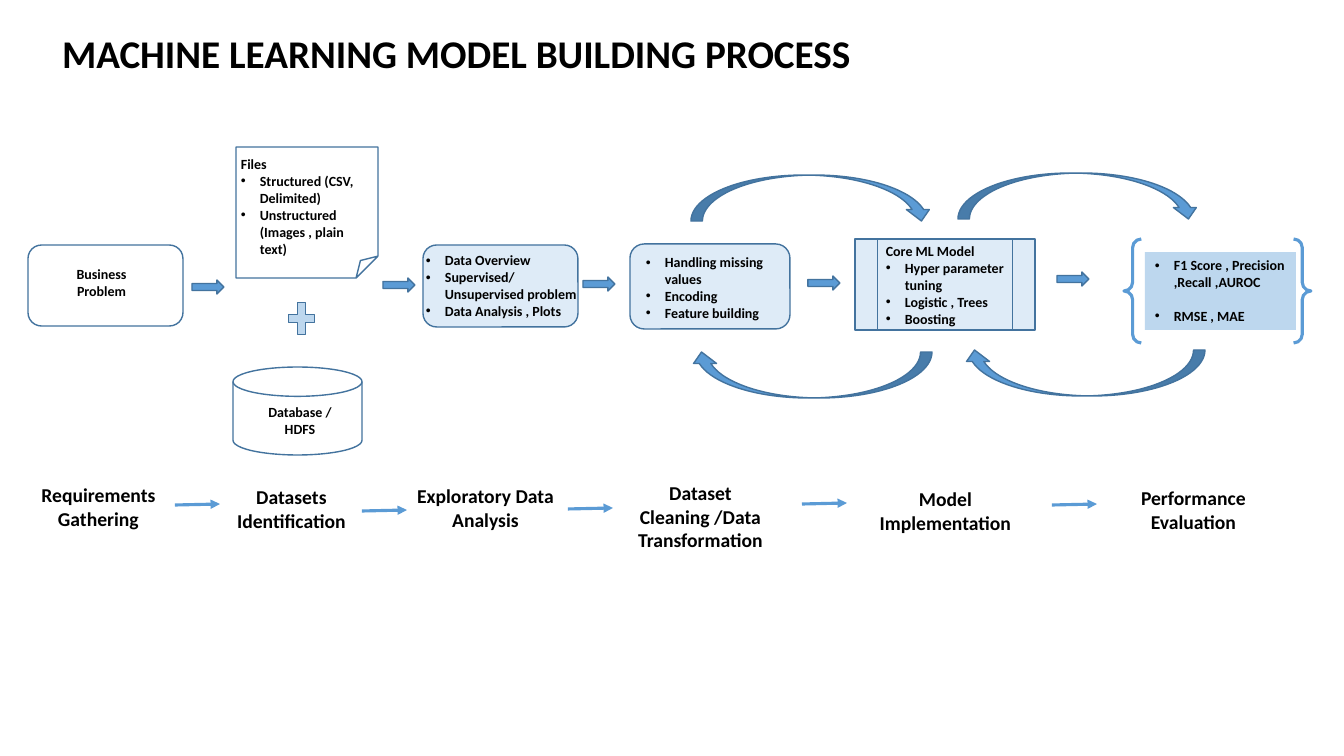
"""Builds a one-slide overview of the machine learning model building process."""
from dataclasses import dataclass

from lxml import etree
from pptx import Presentation
from pptx.dml.color import RGBColor
from pptx.enum.shapes import MSO_CONNECTOR, MSO_SHAPE
from pptx.enum.text import MSO_ANCHOR, PP_ALIGN
from pptx.oxml.ns import qn
from pptx.util import Emu, Pt

ROUNDED = MSO_SHAPE.ROUNDED_RECTANGLE
RECT = MSO_SHAPE.RECTANGLE
BLOCK_ARROW = MSO_SHAPE.RIGHT_ARROW
LOOP_ARROW = MSO_SHAPE.CURVED_LEFT_ARROW
CENTER, LEFT = PP_ALIGN.CENTER, PP_ALIGN.LEFT


@dataclass(frozen=True)
class Theme:
    font: str = "Calibri"
    background: str = "FFFFFF"
    text: str = "000000"
    accent: str = "5B9BD5"
    outline: str = "43739E"
    pale: str = "DEEBF7"
    soft: str = "BDD7EE"
    title: int = 28
    stage: int = 14
    detail: int = 10
    thin: float = 1
    thick: float = 2.25


THEME = Theme()
SLIDE_SIZE = (1344, 756)
TITLE = "MACHINE LEARNING MODEL BUILDING PROCESS"
TITLE_BOX = (52, 25, 1140, 62)

PANELS = [
    (MSO_SHAPE.FOLDED_CORNER, (236, 147, 142, 131), None),
    (MSO_SHAPE.FLOWCHART_MAGNETIC_DISK, (233, 367, 129, 88), None),
    (ROUNDED, (423, 245, 155, 82), THEME.pale),
    (ROUNDED, (630, 244, 160, 85), THEME.pale),
    (MSO_SHAPE.FLOWCHART_PREDEFINED_PROCESS, (855, 239, 180, 91), THEME.pale),
    (MSO_SHAPE.MATH_PLUS, (284, 297, 35, 43), THEME.soft),
    (ROUNDED, (28, 245, 155, 81), None),
]
BRACES = (1124, 239, 187, 104)
METRICS_PANEL = (1145, 252, 151, 78)

STAGE_WIDTH, STAGE_HEIGHT = 165, 57
STAGES = [
    (16, 478, ["Requirements", "Gathering"]),
    (209, 480, ["Datasets Identification"]),
    (403, 479, ["Exploratory Data Analysis"]),
    (618, 476, ["Dataset Cleaning /Data Transformation"]),
    (863, 482, ["Model Implementation"]),
    (1111, 481, ["Performance Evaluation"]),
]

LABELS = [
    ((50, 261, 103, 44), "Business Problem"),
    ((244, 399, 112, 44), "Database / HDFS"),
]
DETAILS = [
    ((231, 151, 142, 132), "Files",
     ["Structured (CSV, Delimited)", "Unstructured (Images , plain text)"]),
    ((416, 247, 175, 129), None,
     ["Data Overview", "Supervised/ Unsupervised problem",
      "Data Analysis , Plots"]),
    ((876, 238, 170, 129), "Core ML Model",
     ["Hyper parameter tuning", "Logistic , Trees", "Boosting"]),
    ((636, 249, 153, 78), None,
     ["Handling missing values", "Encoding", "Feature building"]),
]
METRICS = ["F1 Score , Precision ,Recall ,AUROC", "RMSE , MAE"]
METRICS_GAP = 12

BLOCK_ARROW_SIZE = (32, 14)
BLOCK_ARROWS = [(192, 280), (383, 278), (583, 277), (808, 276), (1057, 272)]
STAGE_ARROW_RUN, STAGE_ARROW_RISE = 45, 1
STAGE_ARROWS = [(175, 505), (362, 511), (568, 509), (802, 504), (1052, 505)]
LOOP_SIZE = (46, 242)
LOOPS = [(1061, 252, 90), (788, 254, 90), (789, 77, 270), (1056, 75, 270)]
BULLET_INDENT = 19


def px(n):
    return Emu(round(n * 914400 / 100.8))


def rgb(value):
    return RGBColor.from_string(value)


def add_shape(s, kind, box, fill=None, line=THEME.outline, width=THEME.thin):
    sp = s.shapes.add_shape(kind, *map(px, box))
    sp.shadow.inherit = False
    if fill:
        sp.fill.solid()
        sp.fill.fore_color.rgb = rgb(fill)
    else:
        sp.fill.background()
    if line:
        sp.line.color.rgb = rgb(line)
        sp.line.width = Pt(width)
    else:
        sp.line.fill.background()
    return sp


def style(p, size, align):
    p.alignment = align
    p.font.name = THEME.font
    p.font.size = Pt(size)
    p.font.bold = True
    p.font.color.rgb = rgb(THEME.text)


def write(sp, lines, size, align=LEFT, bullets=False, heading=None):
    tf = sp.text_frame
    tf.word_wrap = True
    tf.vertical_anchor = MSO_ANCHOR.TOP
    items = ([(heading, False)] if heading else []) + [(t, bullets) for t in lines]
    for i, (text, bullet) in enumerate(items):
        p = tf.add_paragraph() if i else tf.paragraphs[0]
        p.text = text
        style(p, size, align)
        if bullet:
            pPr = p._p.get_or_add_pPr()
            pPr.set("marL", str(px(BULLET_INDENT)))
            pPr.set("indent", str(-px(BULLET_INDENT)))
            font = etree.Element(qn("a:buFont"), typeface="Arial")
            char = etree.Element(qn("a:buChar"), char="•")
            pPr.find(qn("a:defRPr")).addprevious(font)
            font.addnext(char)
    return tf


def add_text(s, box, lines, size, **options):
    return write(s.shapes.add_textbox(*map(px, box)), lines, size, **options)


def add_stage_arrow(s, x, y):
    ends = (x, y, x + STAGE_ARROW_RUN, y - STAGE_ARROW_RISE)
    c = s.shapes.add_connector(MSO_CONNECTOR.STRAIGHT, *map(px, ends))
    c.line.color.rgb = rgb(THEME.accent)
    c.line.width = Pt(THEME.thick)
    etree.SubElement(c.line._get_or_add_ln(), qn("a:tailEnd"), type="triangle")
    etree.SubElement(c._element.spPr, qn("a:effectLst"))


def add_title(s):
    sp = s.shapes.title
    sp.left, sp.top, sp.width, sp.height = map(px, TITLE_BOX)
    tf = write(sp, [TITLE], THEME.title)
    tf.vertical_anchor = MSO_ANCHOR.MIDDLE
    tf.paragraphs[0].line_spacing = 0.9


def main():
    prs = Presentation()
    prs.slide_width, prs.slide_height = map(px, SLIDE_SIZE)
    s = prs.slides.add_slide(prs.slide_layouts[5])
    s.background.fill.solid()
    s.background.fill.fore_color.rgb = rgb(THEME.background)
    add_title(s)

    for kind, box, fill in PANELS:
        add_shape(s, kind, box, fill)
    add_shape(s, MSO_SHAPE.DOUBLE_BRACE, BRACES, None, THEME.accent, THEME.thick)
    for x, y, lines in STAGES:
        box = (x, y, STAGE_WIDTH, STAGE_HEIGHT)
        add_text(s, box, lines, THEME.stage, align=CENTER)
    for box, text in LABELS:
        add_text(s, box, [text], THEME.detail, align=CENTER)
    for box, heading, lines in DETAILS:
        add_text(s, box, lines, THEME.detail, bullets=True, heading=heading)
    metrics = add_shape(s, RECT, METRICS_PANEL, THEME.soft, None)
    tf = write(metrics, METRICS, THEME.detail, bullets=True)
    tf.paragraphs[-1].space_before = Pt(METRICS_GAP)

    for x, y in BLOCK_ARROWS:
        add_shape(s, BLOCK_ARROW, (x, y, *BLOCK_ARROW_SIZE), THEME.accent)
    for x, y in STAGE_ARROWS:
        add_stage_arrow(s, x, y)
    for x, y, turn in LOOPS:
        loop = add_shape(s, LOOP_ARROW, (x, y, *LOOP_SIZE), THEME.accent)
        loop.rotation = turn
    prs.save("out.pptx")


if __name__ == "__main__":
    main()
